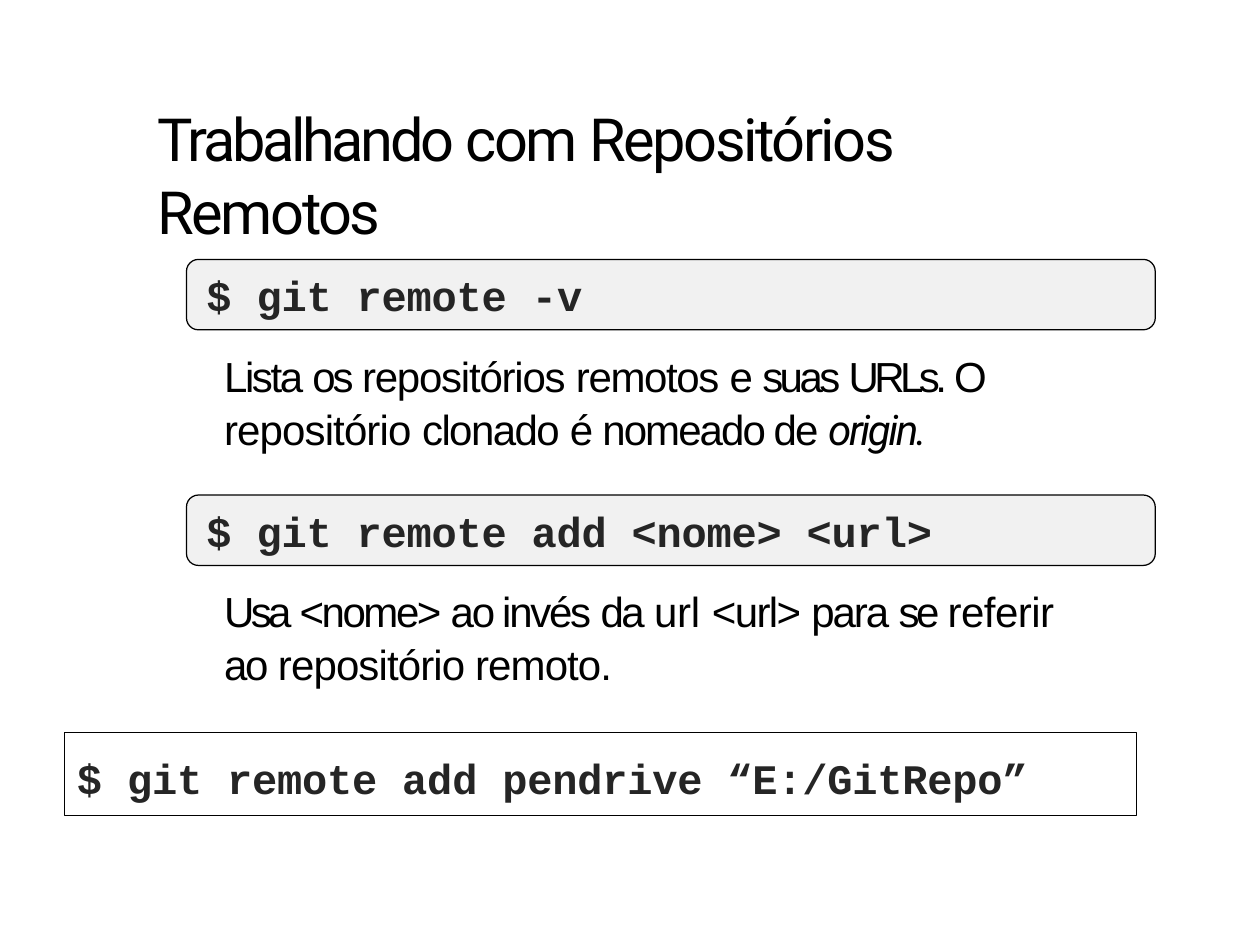
from pptx import Presentation
from pptx.dml.color import RGBColor
from pptx.enum.shapes import MSO_SHAPE as Shape
from pptx.enum.text import MSO_ANCHOR as Anchor, MSO_AUTO_SIZE as AutoSize, PP_ALIGN as Align
from pptx.util import Cm, Pt

COLORS = {"text": "000000", "code": "252525", "box": "F1F1F1", "line": "000000"}

# Runs are (text, letter spacing in points)
TITLE = [("Trabalhando ", -1.9), ("com ", -1.6), ("Repositórios Remotos", -1.4)]

COMMANDS = [
    {
        "code": [("$ ", 0), ("git remote ", -0.1), ("-v", 0)],
        "about": [("Lista ", -1.4), ("os ", -1.8), ("repositórios ", -0.7),
                  ("remotos ", -0.8), ("e ", -1.4), ("suas ", -2), ("URLs. ", -2.6),
                  ("O ", -2.8), ("repositório ", -0.5), ("clonado ", -0.9),
                  ("é ", -1.4), ("nomeado de ", -1.1)],
        "term": [("origin.", -1.4)],
    },
    {
        "code": [("$ ", 0), ("git remote add <nome> <url>", -0.1)],
        "about": [("Usa ", -2.1), ("<nome> ", -1.4), ("ao invés ", -1.3), ("da ", -1.4),
                  ("url ", -0.1), ("<url> ", -0.9), ("para ", -1.2), ("se ", -2),
                  ("referir ", -0.3), ("ao ", -1.3), ("repositório remoto.", -0.5)],
        "term": [],
    },
]
EXAMPLE = [("$ ", 0), ("git remote add pendrive “E:/GitRepo”", -0.1)]

FIRST_TOP, STEP = 5.23, 4.75
ABOUT_OFFSET = 1.78


def color(name):
    return RGBColor.from_string(COLORS[name])


def add_runs(p, runs, font, size, name="text", bold=False, italic=False):
    for text, spacing in runs:
        r = p.add_run()
        r.text = text
        f = r.font
        f.name, f.size, f.bold, f.italic = font, Pt(size), bold, italic
        f.color.rgb = color(name)
        r._r.get_or_add_rPr().set("spc", str(round(spacing * 100)))


def prepare(tf, left=0, top=0, anchor=Anchor.TOP, line_spacing=1.0):
    """Set margins, wrapping and alignment; return the first paragraph."""
    tf.word_wrap, tf.auto_size = True, AutoSize.NONE
    tf.margin_left, tf.margin_top = Cm(left), Cm(top)
    tf.margin_right = tf.margin_bottom = 0
    tf.vertical_anchor = anchor
    p = tf.paragraphs[0]
    p.alignment, p.line_spacing = Align.LEFT, line_spacing
    return p


def add_code_box(s, kind, box, runs, left, top=0, fill=None):
    sp = s.shapes.add_shape(kind, *map(Cm, box))
    sp.shadow.inherit = False
    if fill:
        sp.fill.solid()
        sp.fill.fore_color.rgb = color(fill)
    else:
        sp.fill.background()
    sp.line.color.rgb = color("line")
    sp.line.width = Pt(0.72)
    p = prepare(sp.text_frame, left, top, Anchor.MIDDLE)
    add_runs(p, runs, "Courier New", 24, "code", bold=True)
    return sp


def main():
    prs = Presentation()
    prs.slide_width, prs.slide_height = Cm(25.4), Cm(19.05)
    s = prs.slides.add_slide(prs.slide_layouts[5])

    title = s.shapes.title
    title.left, title.top, title.width, title.height = map(Cm, (3.15, 1.96, 19.1, 1.5))
    p = prepare(title.text_frame, 0.03, 0.05, line_spacing=1.03)
    add_runs(p, TITLE, "Roboto", 34)

    for i, command in enumerate(COMMANDS):
        top = FIRST_TOP + i * STEP
        sp = add_code_box(s, Shape.ROUNDED_RECTANGLE, (3.76, top, 19.53, 1.42),
                          command["code"], 0.33, fill="box")
        sp.adjustments[0] = 0.17
        about = s.shapes.add_textbox(*map(Cm, (4.52, top + ABOUT_OFFSET, 17.3, 2.1)))
        p = prepare(about.text_frame, line_spacing=1.05)
        add_runs(p, command["about"], "Arial", 24)
        add_runs(p, command["term"], "Roboto", 24, italic=True)

    add_code_box(s, Shape.RECTANGLE, (1.3, 14.76, 21.62, 1.68), EXAMPLE, 0.25, 0.15)
    prs.save("out.pptx")


if __name__ == "__main__":
    main()
